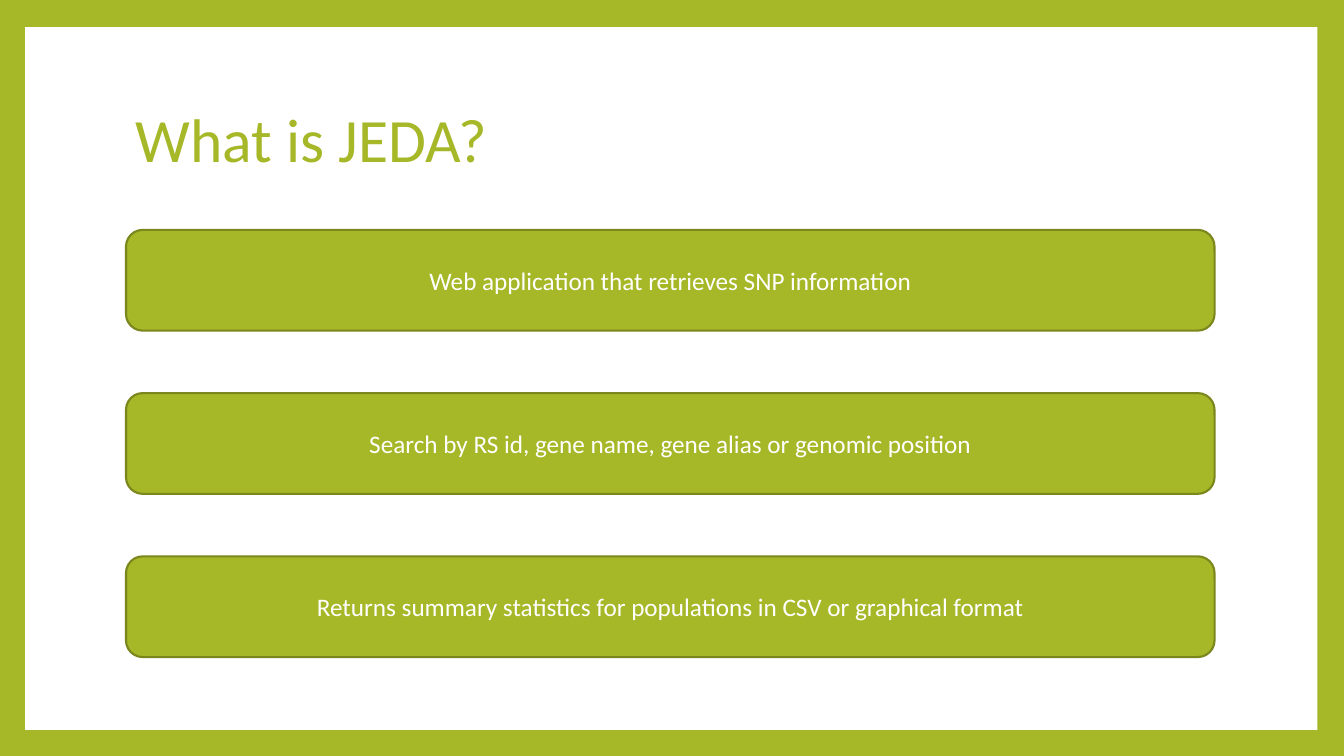
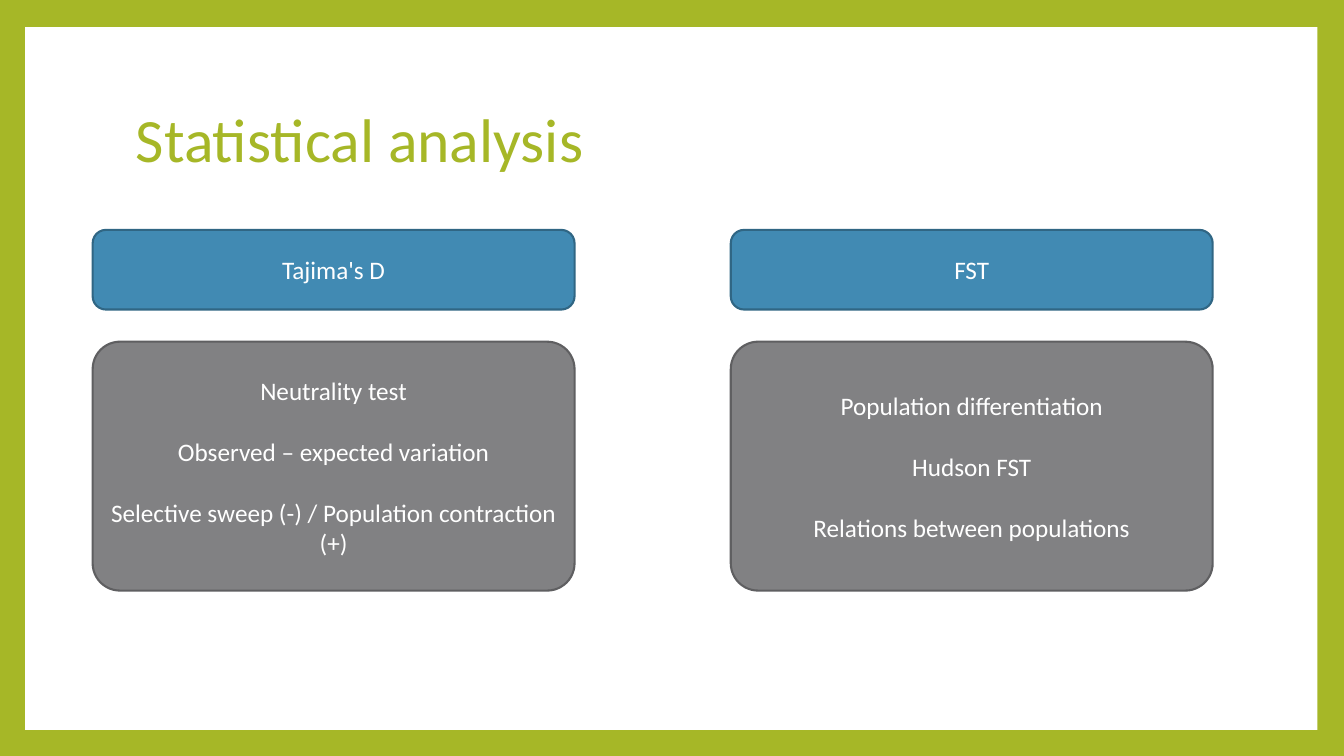
from pptx import Presentation
from pptx.dml.color import RGBColor
from pptx.enum.shapes import MSO_SHAPE
from pptx.enum.text import MSO_ANCHOR, PP_ALIGN
from pptx.util import Pt

FEATURES_TITLE = "What is JEDA?"
FEATURES = [
    "Web application that retrieves SNP information",
    "Search by RS id, gene name, gene alias or genomic position",
    "Returns summary statistics for populations in CSV or graphical format",
]
ANALYSIS_TITLE = "Statistical analysis"
ANALYSES = [
    ("Tajima's D", [
        "Neutrality test",
        "Observed – expected variation",
        "Selective sweep (-) / Population contraction (+)",
    ]),
    ("FST", [
        "Population differentiation",
        "Hudson FST",
        "Relations between populations",
    ]),
]

COLORS = {
    "green": "A6B727", "green_line": "7B871D",
    "blue": "418AB3", "blue_line": "306684",
    "gray": "818183", "gray_line": "5F5F61",
    "white": "FFFFFF",
}
FONT = "Calibri"
SLIDE_W, SLIDE_H = 960, 540
PANEL = (18, 19.4, 923, 502)
LEFT, CONTENT_W = 90, 777.6
TITLE_TOP, TITLE_H = 48.2, 106.6
CONTENT_TOP = 164.2
FEATURE_H, FEATURE_STEP = 72, 116.6
COLUMN_LEFT, COLUMN_W, COLUMN_STEP = 66.2, 344.2, 455.8
HEAD_H, HEAD_GAP, BODY_H = 56.9, 23, 177.8
PARAGRAPH_GAP = 22


def rgb(name):
    return RGBColor.from_string(COLORS[name])


def style_text(p, size, color):
    p.font.name = FONT
    p.font.size = Pt(size)
    p.font.color.rgb = rgb(color)


def add_box(s, kind, box, fill, line=None):
    sp = s.shapes.add_shape(kind, *map(Pt, box))
    sp.shadow.inherit = False
    sp.fill.solid()
    sp.fill.fore_color.rgb = rgb(fill)
    if line:
        sp.line.color.rgb = rgb(line)
        sp.line.width = Pt(1.5)
    else:
        sp.line.fill.background()
    return sp


def add_card(s, box, color, lines, corner=None):
    sp = add_box(s, MSO_SHAPE.ROUNDED_RECTANGLE, box, color, color + "_line")
    if corner:
        sp.adjustments[0] = corner
    tf = sp.text_frame
    tf.word_wrap = True
    tf.vertical_anchor = MSO_ANCHOR.MIDDLE
    tf.text = "\n".join(lines)
    for i, p in enumerate(tf.paragraphs):
        p.alignment = PP_ALIGN.CENTER
        style_text(p, 18, "white")
        if i:
            p.space_before = Pt(PARAGRAPH_GAP)


def add_slide(prs, title):
    s = prs.slides.add_slide(prs.slide_layouts[6])
    add_box(s, MSO_SHAPE.RECTANGLE, PANEL, "white")
    sp = s.shapes.add_textbox(Pt(LEFT), Pt(TITLE_TOP), Pt(CONTENT_W), Pt(TITLE_H))
    tf = sp.text_frame
    tf.word_wrap = True
    tf.vertical_anchor = MSO_ANCHOR.MIDDLE
    tf.text = title
    p = tf.paragraphs[0]
    p.line_spacing = 0.9
    style_text(p, 44, "green")
    return s


def build_features(prs):
    s = add_slide(prs, FEATURES_TITLE)
    for i, text in enumerate(FEATURES):
        top = CONTENT_TOP + i * FEATURE_STEP
        add_card(s, (LEFT, top, CONTENT_W, FEATURE_H), "green", [text])


def build_analyses(prs):
    s = add_slide(prs, ANALYSIS_TITLE)
    body_top = CONTENT_TOP + HEAD_H + HEAD_GAP
    for i, (head, lines) in enumerate(ANALYSES):
        left = COLUMN_LEFT + i * COLUMN_STEP
        add_card(s, (left, CONTENT_TOP, COLUMN_W, HEAD_H), "blue", [head])
        add_card(s, (left, body_top, COLUMN_W, BODY_H), "gray", lines, 0.11)


def main():
    prs = Presentation()
    prs.slide_width, prs.slide_height = Pt(SLIDE_W), Pt(SLIDE_H)
    background = prs.slide_master.background.fill
    background.solid()
    background.fore_color.rgb = rgb("green")
    build_features(prs)
    build_analyses(prs)
    prs.save("out.pptx")


if __name__ == "__main__":
    main()
